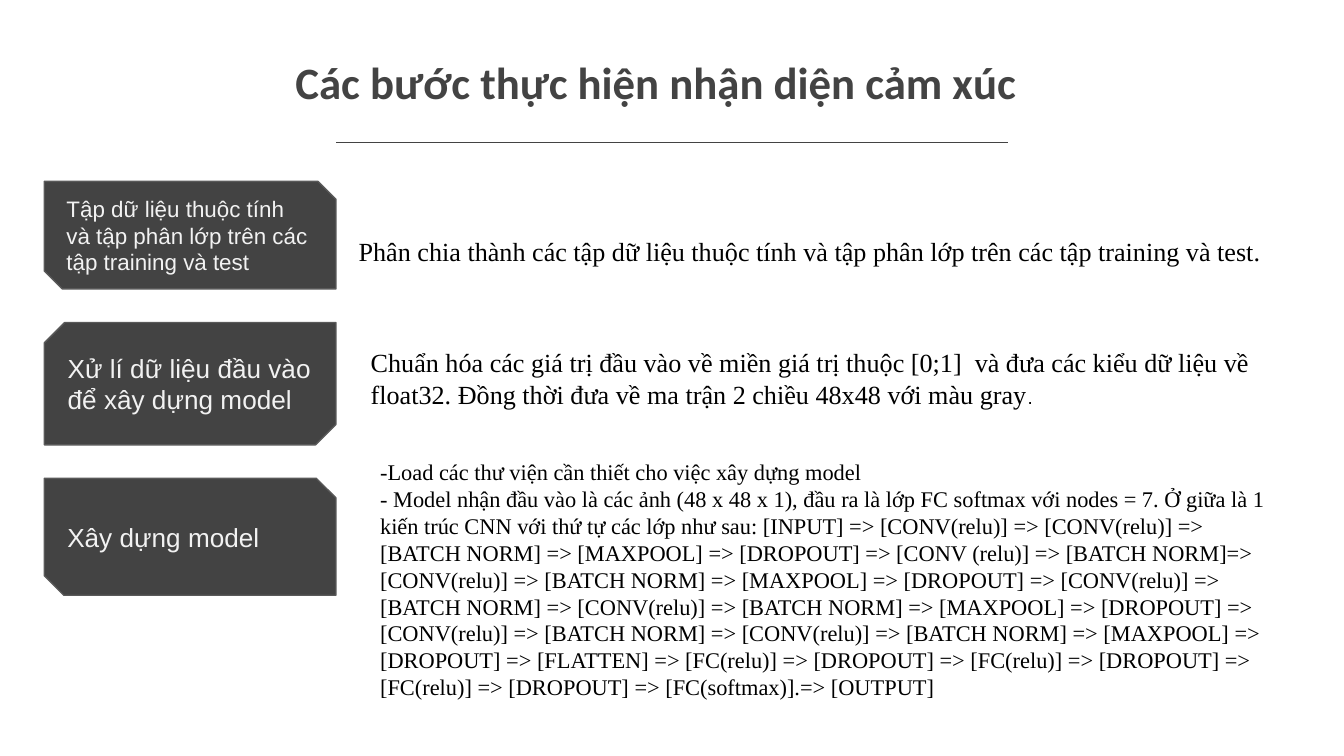
from dataclasses import dataclass

import pptx
import pptx.dml.color
import pptx.enum.shapes
import pptx.enum.text
import pptx.oxml
import pptx.oxml.ns
import pptx.util

Inches = pptx.util.Inches
Pt = pptx.util.Pt
ANCHOR = pptx.enum.text.MSO_ANCHOR
ALIGN = pptx.enum.text.PP_ALIGN


@dataclass(frozen=True)
class Theme:
    dark: str = "434343"
    outline: str = "595959"
    light: str = "F2F2F2"
    text: str = "000000"
    title_font: str = "Calibri"
    label_font: str = "Arial"
    body_font: str = "Times New Roman"
    title_size: int = 24
    large: int = 14
    small: int = 12
    tiny: int = 10
    line_width: float = 0.75
    inset: float = 0.1


THEME = Theme()
SLIDE_WIDTH = 10
SNIP = 0.167

LAYERS = (
    "[INPUT] => [CONV(relu)] => [CONV(relu)] => [BATCH NORM] => [MAXPOOL] => [DROPOUT] => "
    "[CONV (relu)] => [BATCH NORM]=> [CONV(relu)] => [BATCH NORM] => [MAXPOOL] => [DROPOUT] => "
    "[CONV(relu)] => [BATCH NORM] => [CONV(relu)] => [BATCH NORM] => [MAXPOOL] => [DROPOUT] => "
    "[CONV(relu)] => [BATCH NORM] => [CONV(relu)] => [BATCH NORM] => [MAXPOOL] => [DROPOUT] => "
    "[FLATTEN] => [FC(relu)] => [DROPOUT] => [FC(relu)] => [DROPOUT] => [FC(relu)] => "
    "[DROPOUT] => [FC(softmax)].=> [OUTPUT]"
)

# label, label size, label box, snips, body paragraphs, body size, body box
STEPS = [
    ("Tập dữ liệu thuộc tính và tập phân lớp trên các tập training và test",
     THEME.small, (0.33, 1.35, 2.17, 0.8), (0, SNIP),
     ["Phân chia thành các tập dữ liệu thuộc tính và tập phân lớp trên các tập training và test."],
     THEME.large, (2.57, 1.65, 6.94, 0.66)),
    ("Xử lí dữ liệu đầu vào để xây dựng model",
     THEME.large, (0.33, 2.4, 2.17, 0.91), (SNIP, 0),
     ["Chuẩn hóa các giá trị đầu vào về miền giá trị thuộc [0;1]  và đưa các kiểu dữ liệu về "
      "float32. Đồng thời đưa về ma trận 2 chiều 48x48 với màu gray"],
     THEME.large, (2.66, 2.48, 6.83, 0.66)),
    ("Xây dựng model",
     THEME.large, (0.33, 3.56, 2.17, 0.87), (0, SNIP),
     ["-Load các thư viện cần thiết cho việc xây dựng model",
      "- Model nhận đầu vào là các ảnh (48 x 48 x 1), đầu ra là lớp FC softmax với nodes = 7. "
      "Ở giữa là 1 kiến trúc CNN với thứ tự các lớp như sau: " + LAYERS],
     THEME.small, (2.73, 3.31, 6.95, 1.51)),
]


def rgb(value):
    return pptx.dml.color.RGBColor.from_string(value)


def fill_text(sp, texts, font, size, color, anchor=ANCHOR.TOP, align=ALIGN.LEFT, bold=False):
    tf = sp.text_frame
    tf.word_wrap = True
    tf.auto_size = pptx.enum.text.MSO_AUTO_SIZE.NONE
    tf.vertical_anchor = anchor
    tf.margin_left = tf.margin_right = Inches(THEME.inset)
    tf.margin_top = tf.margin_bottom = Inches(THEME.inset)
    for i, text in enumerate(texts):
        p = tf.paragraphs[0] if i == 0 else tf.add_paragraph()
        p.text = text
        p.alignment = align
        p.line_spacing = 1.0
        p.font.name, p.font.size, p.font.bold = font, Pt(size), bold
        p.font.color.rgb = rgb(color)
    return tf


def add_header(slide, box, rule):
    title = slide.shapes.title
    title.left, title.top, title.width, title.height = map(Inches, box)
    fill_text(title, ["Các bước thực hiện nhận diện cảm xúc"], THEME.title_font,
              THEME.title_size, THEME.dark, align=ALIGN.CENTER, bold=True)
    line = slide.shapes.add_connector(
        pptx.enum.shapes.MSO_CONNECTOR.STRAIGHT, *map(Inches, rule))
    line.line.color.rgb = rgb(THEME.dark)
    line.line.width = Pt(THEME.line_width)
    line._element.spPr.append(pptx.oxml.parse_xml(
        "<a:effectLst %s/>" % pptx.oxml.ns.nsdecls("a")))


def add_label(slide, box, text, size, snips):
    """Add a dark box; snips cut top-left/bottom-right, then top-right/bottom-left."""
    sp = slide.shapes.add_shape(
        pptx.enum.shapes.MSO_SHAPE.SNIP_2_DIAG_RECTANGLE, *map(Inches, box))
    sp.adjustments[0], sp.adjustments[1] = snips
    sp.shadow.inherit = False
    sp.fill.solid()
    sp.fill.fore_color.rgb = rgb(THEME.dark)
    sp.line.color.rgb = rgb(THEME.outline)
    sp.line.width = Pt(THEME.line_width)
    fill_text(sp, [text], THEME.label_font, size, THEME.light, ANCHOR.MIDDLE)


def add_body(slide, box, texts, size):
    sp = slide.shapes.add_textbox(*map(Inches, box))
    return fill_text(sp, texts, THEME.body_font, size, THEME.text)


def main():
    prs = pptx.Presentation()
    prs.slide_width = Inches(SLIDE_WIDTH)
    prs.slide_height = Inches(SLIDE_WIDTH * 9 / 16)
    slide = prs.slides.add_slide(prs.slide_layouts[5])
    add_header(slide, (1.58, 0.31, 6.6, 1.03), (2.5, 1.06, 7.5, 1.06))
    bodies = []
    for label, label_size, label_box, snips, texts, size, box in STEPS:
        add_label(slide, label_box, label, label_size, snips)
        bodies.append(add_body(slide, box, texts, size))
    full_stop = bodies[1].paragraphs[0].add_run()
    full_stop.text = "."
    full_stop.font.name, full_stop.font.size = THEME.label_font, Pt(THEME.tiny)
    prs.save("out.pptx")


if __name__ == "__main__":
    main()
